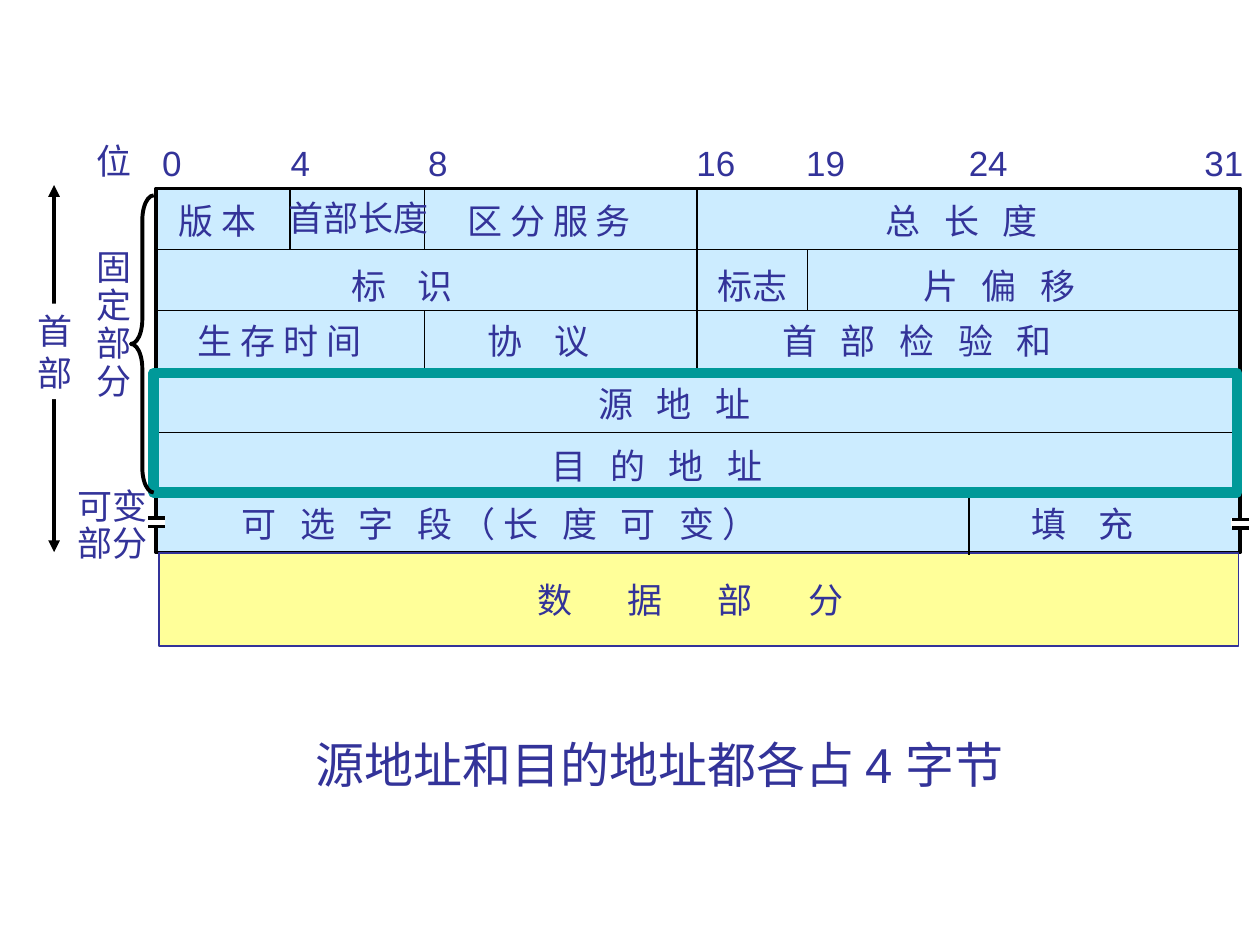
from dataclasses import dataclass

from lxml import etree
from pptx import Presentation
from pptx import util as u
from pptx.dml.color import RGBColor
from pptx.enum import shapes, text
from pptx.oxml.ns import qn


@dataclass(frozen=True)
class Theme:
    font: str = "Arial"
    label_size: float = 20
    caption_size: float = 28
    ink: str = "333399"
    black: str = "000000"
    white: str = "FFFFFF"
    header: str = "CCECFF"
    data: str = "FFFF99"
    highlight: str = "009999"


class Diagram:
    def __init__(self, slide, theme):
        self.slide = slide
        self.theme = theme

    def outline(self, shape, color, weight):
        shape.line.color.rgb = RGBColor.from_string(color)
        shape.line.width = u.Pt(weight)

    def fill(self, shape, color):
        shape.fill.solid()
        shape.fill.fore_color.rgb = RGBColor.from_string(color)

    def box(self, left, top, width, height, fill=None, line=None, weight=1,
            kind=shapes.MSO_SHAPE.RECTANGLE):
        shape = self.slide.shapes.add_shape(
            kind, u.Cm(left), u.Cm(top), u.Cm(width), u.Cm(height))
        shape.shadow.inherit = False
        if fill:
            self.fill(shape, fill)
        else:
            shape.fill.background()
        if line:
            self.outline(shape, line, weight)
        else:
            shape.line.fill.background()
        return shape

    def line(self, x1, y1, x2, y2, weight=1, arrows=False):
        connector = self.slide.shapes.add_connector(
            shapes.MSO_CONNECTOR.STRAIGHT, u.Cm(x1), u.Cm(y1), u.Cm(x2), u.Cm(y2))
        self.outline(connector, self.theme.black, weight)
        if arrows:
            line = connector.line._get_or_add_ln()
            for end in ("a:headEnd", "a:tailEnd"):
                etree.SubElement(line, qn(end), type="triangle")
        etree.SubElement(connector._element.spPr, qn("a:effectLst"))

    def label(self, words, left, top, width, height=1.09, size=None,
              tracking=0, line_spacing=None, fill=None):
        shape = self.slide.shapes.add_textbox(
            u.Cm(left), u.Cm(top), u.Cm(width), u.Cm(height))
        if fill:
            self.fill(shape, fill)
        frame = shape.text_frame
        frame.word_wrap = False
        frame.auto_size = text.MSO_AUTO_SIZE.SHAPE_TO_FIT_TEXT
        frame.text = words
        for paragraph in frame.paragraphs:
            if line_spacing:
                paragraph.line_spacing = line_spacing
            paragraph.font.name = self.theme.font
            paragraph.font.size = u.Pt(size or self.theme.label_size)
            paragraph.font.color.rgb = RGBColor.from_string(self.theme.ink)
            if tracking:
                for run in paragraph.runs:
                    run._r.get_or_add_rPr().set("spc", str(round(tracking * 100)))

    def break_mark(self, left, top):
        self.box(left, top, 0.36, 0.19, self.theme.white)
        for y in (top + 0.02, top + 0.19):
            self.line(left + 0.02, y, left + 0.36, y, 2)


LEFT, RIGHT, TOP, ROW = 3.15, 25.02, 3.8, 1.23
BIT_EDGES = {4: 5.84, 8: 8.56, 16: 14.05, 19: 16.28, 24: 19.53}
DIVIDERS = [(4, 0, 1), (8, 0, 1), (8, 2, 3), (16, 0, 3), (19, 1, 2), (24, 5, 6)]
BIT_LABELS = {0: 3.02, 4: 5.61, 8: 8.38, 16: 13.79, 19: 16, 24: 19.28, 31: 24.03}
FIELD_ROWS = [
    (3.89, [("版 本", 3.35, 2.26, 0), ("区 分 服 务", 9.17, 4.39, 0),
            ("总 长 度", 17.6, 4.75, 4.5)]),
    (3.84, [("首部长度", 5.56, 3.33, 0)]),
    (5.21, [("标 识", 6.83, 3.33, 6.75), ("标志", 14.22, 1.93, 0),
            ("片 偏 移", 18.36, 4.75, 4.5)]),
    (6.32, [("生 存 时 间", 3.73, 4.39, 0), ("协 议", 9.58, 3.33, 6.75),
            ("首 部 检 验 和", 15.52, 8.28, 4.5)]),
    (7.59, [("源 地 址", 11.81, 4.75, 4.5)]),
    (8.84, [("目 的 地 址", 10.87, 6.5, 4.5)]),
    (10.01, [("可 选 字 段（长 度 可 变）", 4.62, 14.63, 4.5),
             ("填 充", 20.55, 3.33, 6.75)]),
    (11.53, [("数 据 部 分", 10.59, 8.08, 13.5)]),
]


def main():
    presentation = Presentation()
    presentation.slide_width = u.Cm(25.4)
    presentation.slide_height = u.Cm(19.05)
    theme = Theme()
    slide = presentation.slides.add_slide(presentation.slide_layouts[6])
    diagram = Diagram(slide, theme)

    diagram.line(1.09, 3.73, 1.09, 11.13, 2.25, arrows=True)
    diagram.label("首\n部", 0.51, 6.12, 1.22, 1.93, fill=theme.white)

    diagram.box(LEFT, TOP, RIGHT - LEFT - 0.02, 6 * ROW - 0.04,
                theme.header, theme.black, 2)
    diagram.box(3.2, 11.15, 21.77, 1.88, theme.data, theme.ink)
    for row in range(1, 6):
        diagram.line(LEFT, TOP + row * ROW, RIGHT, TOP + row * ROW)
    for bit, first, last in DIVIDERS:
        x = BIT_EDGES[bit]
        diagram.line(x, TOP + first * ROW, x, TOP + last * ROW)

    diagram.label("位", 1.7, 2.69, 1.22)
    for bit, left in BIT_LABELS.items():
        diagram.label(str(bit), left, 2.72, 0.89 if bit < 10 else 1.3)
    for top, fields in FIELD_ROWS:
        for words, left, width, tracking in fields:
            diagram.label(words, left, top, width, tracking=tracking)

    diagram.break_mark(2.97, 10.42)
    diagram.break_mark(24.82, 10.45)
    diagram.label("固\n定\n部\n分", 1.7, 4.93, 1.22, 3.3, line_spacing=0.9)
    diagram.label("可变\n部分", 1.32, 9.73, 1.93, 1.78, line_spacing=0.9)
    diagram.label("源地址和目的地址都各占 4 字节", 6.12, 14.68, 15.11, 1.45,
                  size=theme.caption_size)
    diagram.box(3.1, 7.52, 21.84, 2.41, line=theme.highlight, weight=6)
    brace = diagram.box(2.64, 3.94, 0.46, 5.99, line=theme.black, weight=2.25,
                        kind=shapes.MSO_SHAPE.LEFT_BRACE)
    brace.adjustments[0] = 1.08

    presentation.save("out.pptx")


if __name__ == "__main__":
    main()
